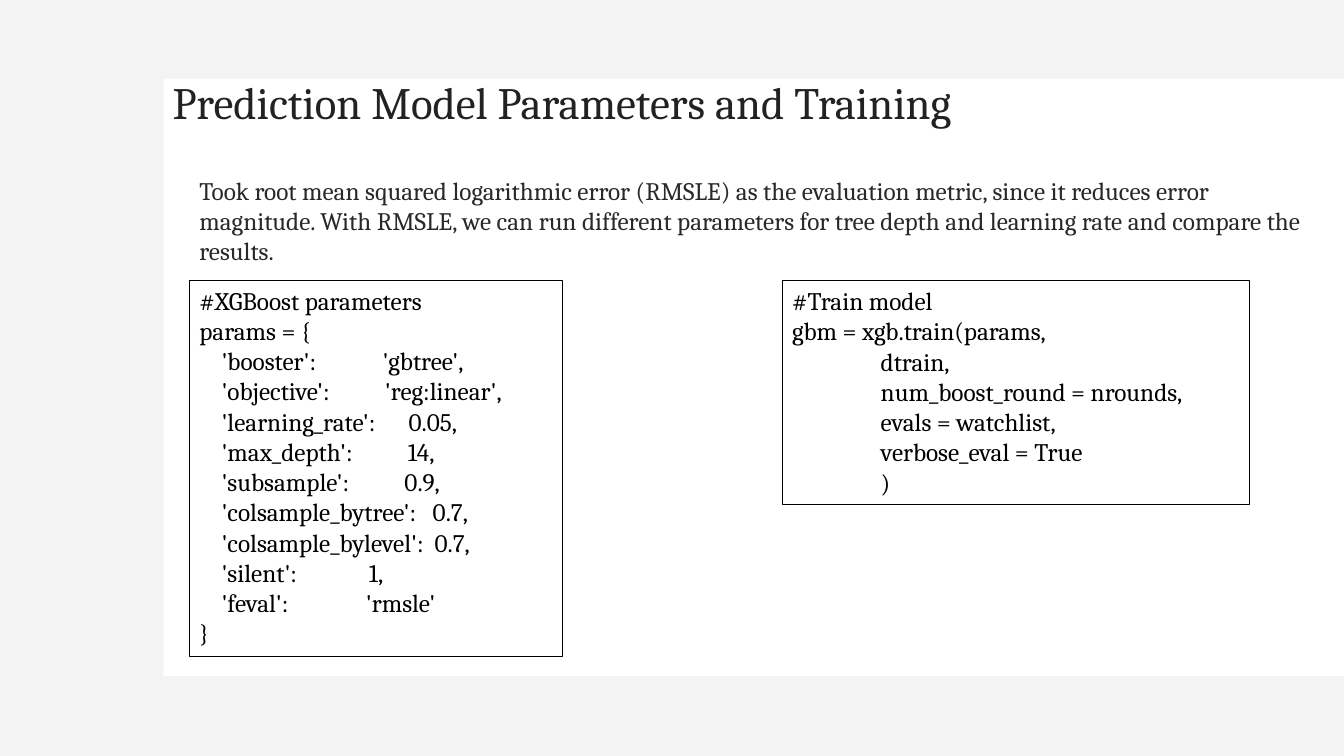
import pptx
import pptx.dml.color
import pptx.enum.shapes
import pptx.enum.text
import pptx.oxml.ns
import pptx.util
from lxml import etree

COLORS = {
    "backdrop": "DDDDDD",
    "panel": "FFFFFF",
    "title": "222222",
    "body": "292929",
    "code": "000000",
}

METRIC_SUMMARY = (
    "Took root mean squared logarithmic error (RMSLE) as the evaluation metric, "
    "since it reduces error magnitude. With RMSLE, we can run different parameters "
    "for tree depth and learning rate and compare the results."
)

PARAMETERS_CODE = """#XGBoost parameters
params = {
    'booster':            'gbtree',
    'objective':          'reg:linear',
    'learning_rate':      0.05,
    'max_depth':          14,
    'subsample':          0.9,
    'colsample_bytree':   0.7,
    'colsample_bylevel':  0.7,
    'silent':             1,
    'feval':              'rmsle'
}"""

TRAINING_CODE = """#Train model
gbm = xgb.train(params,
                dtrain,
                num_boost_round = nrounds,
                evals = watchlist,
                verbose_eval = True
                )"""


def rgb(name):
    return pptx.dml.color.RGBColor.from_string(COLORS[name])


def write_text(frame, text, size=18, color="body", line_spacing=None, grow=True):
    """Fill a text frame, one paragraph per line of text."""
    frame.word_wrap = True
    frame.vertical_anchor = pptx.enum.text.MSO_ANCHOR.TOP
    if grow:
        frame.auto_size = pptx.enum.text.MSO_AUTO_SIZE.SHAPE_TO_FIT_TEXT
    frame.text = text
    for paragraph in frame.paragraphs:
        paragraph.alignment = pptx.enum.text.PP_ALIGN.LEFT
        paragraph.line_spacing = line_spacing
        for run in paragraph.runs:
            run.font.name = "Cambria"
            run.font.size = pptx.util.Pt(size)
            run.font.color.rgb = rgb(color)


class TrainingSlide:
    """Places elements by percentages of the slide's width and height."""

    def __init__(self, deck):
        self.width, self.height = deck.slide_width, deck.slide_height
        self.shapes = deck.slides.add_slide(deck.slide_layouts[6]).shapes

    def place(self, left, top, width, height):
        across, down = self.width / 100, self.height / 100
        return (round(left * across), round(top * down),
                round(width * across), round(height * down))

    def rectangle(self, *area):
        shape = self.shapes.add_shape(
            pptx.enum.shapes.MSO_SHAPE.RECTANGLE, *self.place(*area))
        shape.shadow.inherit = False
        return shape

    def panel(self, *area, color, opacity=100):
        panel = self.rectangle(*area)
        panel.line.fill.background()
        panel.fill.solid()
        panel.fill.fore_color.rgb = rgb(color)
        if opacity < 100:
            tint = panel.fill._xPr.find(".//" + pptx.oxml.ns.qn("a:srgbClr"))
            alpha = etree.SubElement(tint, pptx.oxml.ns.qn("a:alpha"))
            alpha.set("val", str(opacity * 1000))

    def code_box(self, *area, code):
        box = self.rectangle(*area)
        box.fill.background()
        box.line.color.rgb = rgb("code")
        box.line.width = pptx.util.Pt(0.75)
        write_text(box.text_frame, code, color="code")

    def text(self, *area, text, **style):
        box = self.shapes.add_textbox(*self.place(*area))
        write_text(box.text_frame, text, **style)


def main():
    deck = pptx.Presentation()
    deck.slide_width = pptx.util.Inches(13.33)
    deck.slide_height = pptx.util.Inches(7.5)

    slide = TrainingSlide(deck)
    slide.panel(0, 0, 100, 100, color="backdrop", opacity=35)
    slide.panel(12.15, 10.4, 87.85, 79.05, color="panel")
    slide.text(14.1, 22.5, 85.35, 13.5, text=METRIC_SUMMARY)
    slide.code_box(14.1, 37.05, 27.75, 49.85, code=PARAMETERS_CODE)
    slide.code_box(58.2, 37.1, 34.8, 29.6, code=TRAINING_CODE)
    slide.text(12.1, 10, 86.5, 10.5, text="Prediction Model Parameters and Training",
               size=32, color="title", line_spacing=0.9, grow=False)

    deck.save("out.pptx")


if __name__ == "__main__":
    main()
